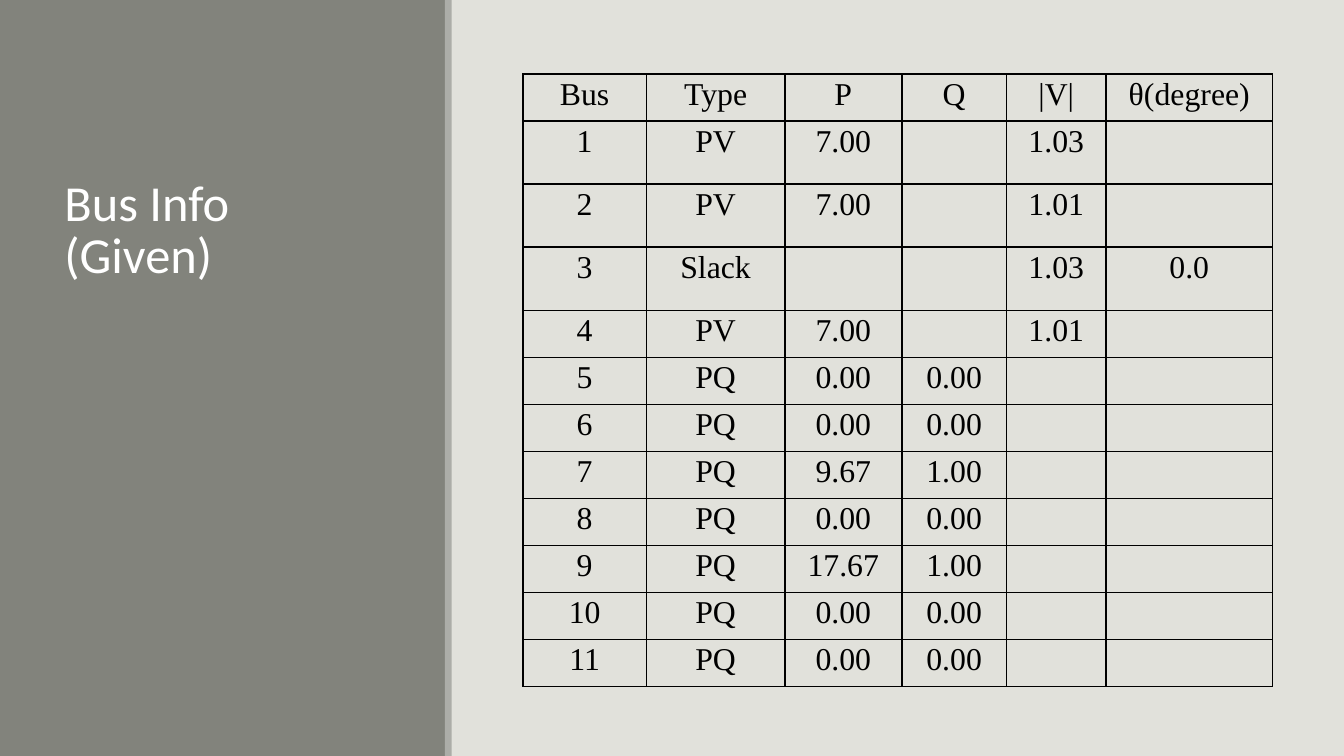
from dataclasses import dataclass

from lxml import etree
from pptx import Presentation
from pptx.dml.color import RGBColor
from pptx.enum.shapes import MSO_SHAPE
from pptx.enum.text import MSO_ANCHOR, PP_ALIGN
from pptx.oxml.ns import qn
from pptx.util import Inches, Pt

COLORS = {
    "paper": "E1E1DB",
    "panel": "82837C",
    "stripe": "ACADA8",
    "title": "FFFFFF",
    "ink": "000000",
}
SLIDE_WIDTH = Inches(10)
SLIDE_HEIGHT = SLIDE_WIDTH * 9 // 16
COLUMN_WIDTHS = [0.92, 1.03, 0.87, 0.78, 0.74, 1.24]
ROW_HEIGHT, TALL_ROW_HEIGHT = 0.35, 0.47
TALL_ROWS = (1, 2, 3)


@dataclass
class Band:
    """A full-height vertical band."""
    left: float
    width: float
    color: str


@dataclass
class Bus:
    """The given quantities of one bus; blank means unknown."""
    kind: str
    p: str = ""
    q: str = ""
    v: str = ""
    theta: str = ""


BANDS = [Band(0, 10, "paper"), Band(0, 3.32, "panel"), Band(3.31, 0.05, "stripe")]
HEADER = ["Bus", "Type", "P", "Q", "|V|", "θ(degree)"]
BUSES = [
    Bus("PV", p="7.00", v="1.03"),
    Bus("PV", p="7.00", v="1.01"),
    Bus("Slack", v="1.03", theta="0.0"),
    Bus("PV", p="7.00", v="1.01"),
    Bus("PQ", "0.00", "0.00"),
    Bus("PQ", "0.00", "0.00"),
    Bus("PQ", "9.67", "1.00"),
    Bus("PQ", "0.00", "0.00"),
    Bus("PQ", "17.67", "1.00"),
    Bus("PQ", "0.00", "0.00"),
    Bus("PQ", "0.00", "0.00"),
]


def rgb(name: str) -> RGBColor:
    """Look up a palette colour."""
    return RGBColor.from_string(COLORS[name])


def set_margins(target, left: float, top: float, right: float, bottom: float) -> None:
    """Set the inner margins of a cell or text frame, in inches."""
    target.margin_left, target.margin_top = Inches(left), Inches(top)
    target.margin_right, target.margin_bottom = Inches(right), Inches(bottom)


def add_run(paragraph, text: str, font: str, size: float, color: str) -> None:
    """Append styled text to a paragraph."""
    run = paragraph.add_run()
    run.text = text
    run.font.name, run.font.size = font, Pt(size)
    run.font.color.rgb = rgb(color)


def draw_band(slide, band: Band) -> None:
    """Draw one vertical band."""
    shape = slide.shapes.add_shape(
        MSO_SHAPE.RECTANGLE, Inches(band.left), 0, Inches(band.width), SLIDE_HEIGHT)
    shape.shadow.inherit = False
    shape.fill.solid()
    shape.fill.fore_color.rgb = rgb(band.color)
    shape.line.fill.background()


def draw_title(slide, text: str) -> None:
    """Draw the title on the side panel."""
    box = slide.shapes.add_textbox(Inches(0.4), Inches(0.42), Inches(2.53), Inches(1.73))
    frame = box.text_frame
    frame.word_wrap = True
    frame.vertical_anchor = MSO_ANCHOR.BOTTOM
    set_margins(frame, 0.08, 0.04, 0.2, 0.04)
    frame.paragraphs[0].line_spacing = 0.85
    add_run(frame.paragraphs[0], text, "Calibri", 27, "title")


def add_borders(cell) -> None:
    """Put a thin line on all four sides of a cell."""
    properties = cell._tc.get_or_add_tcPr()
    for index, side in enumerate(("a:lnL", "a:lnR", "a:lnT", "a:lnB")):
        line = etree.Element(qn(side), w=str(Pt(1)))
        fill = etree.SubElement(line, qn("a:solidFill"))
        etree.SubElement(fill, qn("a:srgbClr"), val=COLORS["ink"])
        properties.insert(index, line)


def fill_cell(cell, text: str) -> None:
    """Format a cell and write its value."""
    cell.fill.background()
    set_margins(cell, 0.12, 0.02, 0.12, 0)
    add_borders(cell)
    paragraph = cell.text_frame.paragraphs[0]
    paragraph.alignment = PP_ALIGN.CENTER
    if text:
        add_run(paragraph, text, "Times New Roman", 17, "ink")


def draw_bus_table(slide) -> None:
    """Draw the table of given bus values."""
    rows = [HEADER] + [[str(number), bus.kind, bus.p, bus.q, bus.v, bus.theta]
                       for number, bus in enumerate(BUSES, 1)]
    heights = [TALL_ROW_HEIGHT if i in TALL_ROWS else ROW_HEIGHT for i in range(len(rows))]
    table = slide.shapes.add_table(
        len(rows), len(HEADER), Inches(3.89), Inches(0.55),
        Inches(sum(COLUMN_WIDTHS)), Inches(sum(heights))).table
    table.first_row = table.horz_banding = False
    for column, width in zip(table.columns, COLUMN_WIDTHS):
        column.width = Inches(width)
    for row, height, values in zip(table.rows, heights, rows):
        row.height = Inches(height)
        for cell, value in zip(row.cells, values):
            fill_cell(cell, value)


def main() -> None:
    """Build and save the slide."""
    deck = Presentation()
    deck.slide_width, deck.slide_height = SLIDE_WIDTH, SLIDE_HEIGHT
    slide = deck.slides.add_slide(deck.slide_layouts[6])
    slide.background.fill.solid()
    slide.background.fill.fore_color.rgb = rgb("paper")
    for band in BANDS:
        draw_band(slide, band)
    draw_title(slide, "Bus Info (Given)")
    draw_bus_table(slide)
    deck.save("out.pptx")


main()
